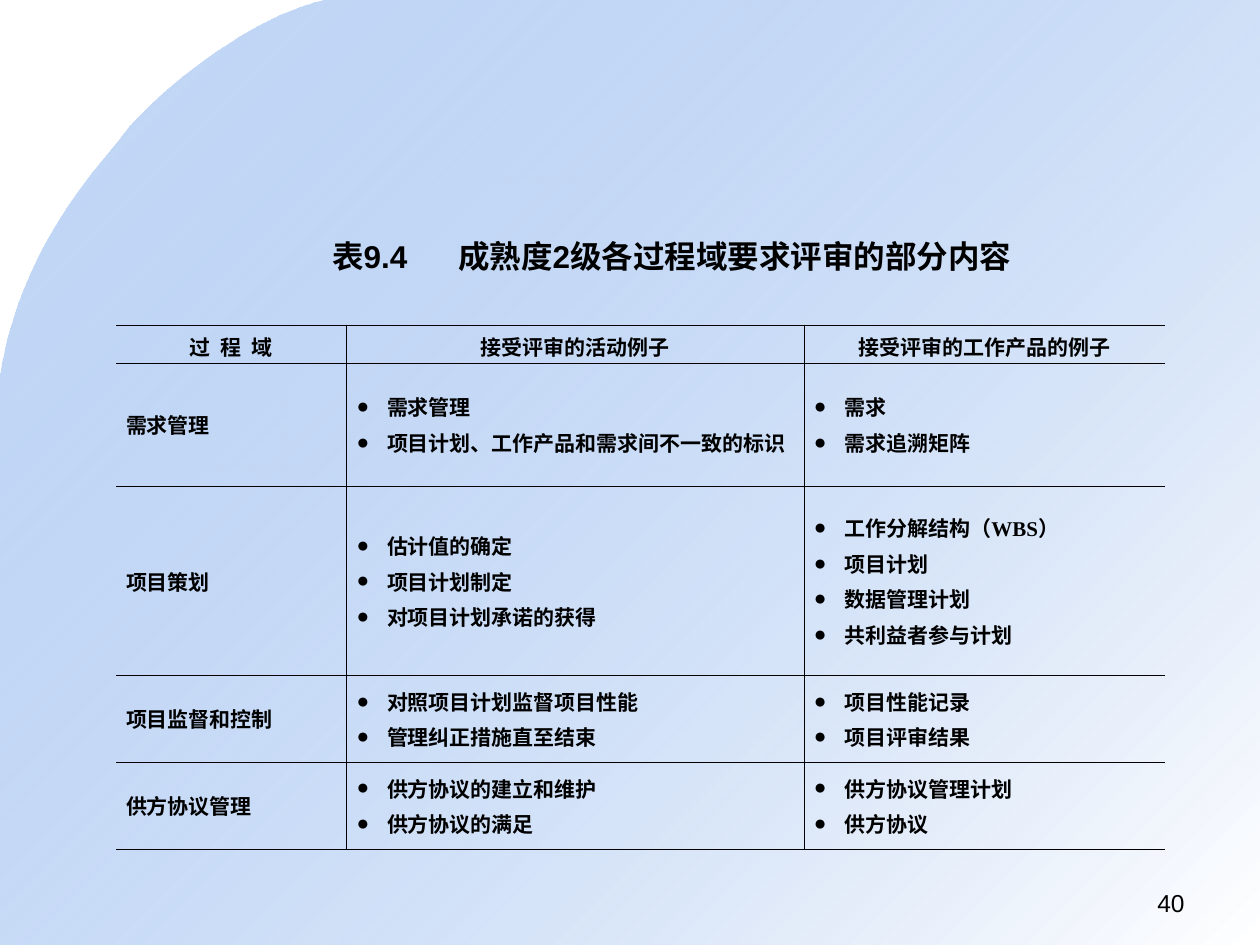
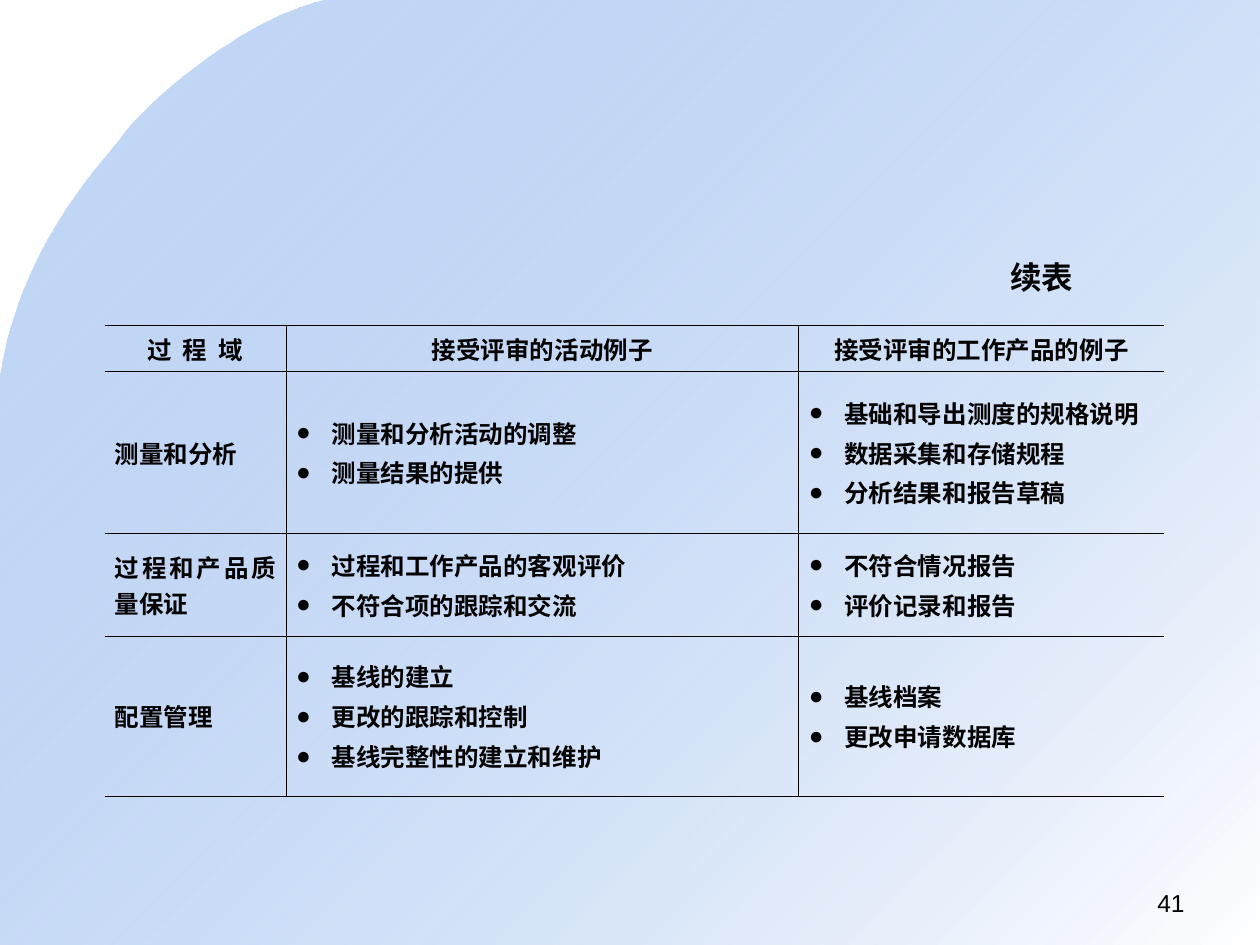
from lxml.etree import SubElement
from pptx import Presentation
from pptx.dml.color import RGBColor
from pptx.enum.text import MSO_ANCHOR as Anchor, PP_ALIGN as Align
from pptx.oxml.ns import qn
from pptx.util import Inches, Pt

COLORS = {"text": "000000", "line": "000000", "sky": "699DE9", "white": "FFFFFF"}
SKY_OPACITY = 39
NO_STYLE_NO_GRID = "{2D5ABB26-0587-4C30-8999-92F81FD0307C}"
HEADINGS = ["过 程 域", "接受评审的活动例子", "接受评审的工作产品的例子"]

LEVEL_TWO_AREAS = [
    ("需求管理",
     ["需求管理", "项目计划、工作产品和需求间不一致的标识"],
     ["需求", "需求追溯矩阵"]),
    ("项目策划",
     ["估计值的确定", "项目计划制定", "对项目计划承诺的获得"],
     ["工作分解结构（WBS）", "项目计划", "数据管理计划", "共利益者参与计划"]),
    ("项目监督和控制",
     ["对照项目计划监督项目性能", "管理纠正措施直至结束"],
     ["项目性能记录", "项目评审结果"]),
    ("供方协议管理",
     ["供方协议的建立和维护", "供方协议的满足"],
     ["供方协议管理计划", "供方协议"]),
]
CONTINUED_AREAS = [
    ("测量和分析",
     ["测量和分析活动的调整", "测量结果的提供"],
     ["基础和导出测度的规格说明", "数据采集和存储规程", "分析结果和报告草稿"]),
    ("过程和产品质量保证",
     ["过程和工作产品的客观评价", "不符合项的跟踪和交流"],
     ["不符合情况报告", "评价记录和报告"]),
    ("配置管理",
     ["基线的建立", "更改的跟踪和控制", "基线完整性的建立和维护"],
     ["基线档案", "更改申请数据库"]),
]


def bezier(start, control_1, control_2, end, steps=24):
    """Points along a cubic curve, without its start."""
    points = []
    for step in range(1, steps + 1):
        t = step / steps
        weights = ((1 - t) ** 3, 3 * t * (1 - t) ** 2, 3 * t * t * (1 - t), t ** 3)
        corners = (start, control_1, control_2, end)
        points.append(tuple(sum(w * corner[axis] for w, corner in zip(weights, corners))
                            for axis in (0, 1)))
    return points


class Deck:
    def __init__(self):
        self.presentation = Presentation()
        self.presentation.slide_width = Inches(10)
        self.presentation.slide_height = Inches(7.5)
        self.layout = self.presentation.slide_layouts[6]
        self.slide = None

    def new_slide(self, number):
        self.slide = self.presentation.slides.add_slide(self.layout)
        if len(self.presentation.slides) == 1:
            self.curved_background()
        self.text(str(number), 7.17, 7, 2.33, 0.35, size=14, align=Align.RIGHT)

    def curved_background(self):
        """Draw the sky panel once and move it to the shared layout."""
        top, middle, left = (2.58, 0), (0.98, 1.07), (0, 3.01)
        outline = (bezier(top, (1.9, 0.16), (1.16, 0.83), middle)
                   + bezier(middle, (0.8, 1.32), (0.16, 1.94), left)
                   + [(0, 7.5), (10, 7.5), (10, 0)])
        builder = self.slide.shapes.build_freeform(Inches(top[0]), Inches(top[1]))
        builder.add_line_segments([(Inches(x), Inches(y)) for x, y in outline])
        shape = builder.convert_to_shape()
        shape.shadow.inherit = False
        shape.line.fill.background()
        shape.fill.gradient()
        shape.fill.gradient_angle = 315
        for stop, name in zip(shape.fill.gradient_stops, ("sky", "white")):
            stop.color.rgb = RGBColor.from_string(COLORS[name])
        sky = shape.element.find(".//" + qn("a:srgbClr"))
        SubElement(sky, qn("a:alpha"), val=str(SKY_OPACITY * 1000))
        self.layout.shapes.element.append(shape.element)

    def style(self, paragraph, size, bold, align, font="Arial"):
        paragraph.alignment = align
        paragraph.font.name = font
        paragraph.font.size = Pt(size)
        paragraph.font.bold = bold
        paragraph.font.color.rgb = RGBColor.from_string(COLORS["text"])

    def text(self, text, left, top, width, height, size=18, bold=False,
             align=Align.LEFT, wrap=True, tab=None):
        box = self.slide.shapes.add_textbox(
            Inches(left), Inches(top), Inches(width), Inches(height))
        box.text_frame.word_wrap = wrap
        paragraph = box.text_frame.paragraphs[0]
        paragraph.text = text
        if tab:
            stops = SubElement(paragraph._p.get_or_add_pPr(), qn("a:tabLst"))
            SubElement(stops, qn("a:tab"), pos=str(Inches(tab)), algn="l")
        self.style(paragraph, size, bold, align)

    def cell(self, cell, lines, size, gap, align, bullets):
        cell.vertical_anchor = Anchor.MIDDLE
        cell.margin_left = cell.margin_right = Inches(0.08)
        cell.margin_top = cell.margin_bottom = Inches(0.05)
        frame = cell.text_frame
        for index, line in enumerate(lines):
            paragraph = frame.add_paragraph() if index else frame.paragraphs[0]
            paragraph.text = line
            if index:
                paragraph.space_before = Pt(gap)
            if bullets:
                indent = Pt(size * 1.45)
                properties = paragraph._p.get_or_add_pPr()
                properties.set("marL", str(indent))
                properties.set("indent", str(-indent))
                SubElement(properties, qn("a:buFont"), typeface="Times New Roman")
                SubElement(properties, qn("a:buChar"), char="●")
            self.style(paragraph, size, True, align, "Times New Roman")

    def borders(self, cell, sides):
        properties = cell._tc.get_or_add_tcPr()
        for side in sides:
            line = SubElement(properties, qn("a:ln" + side), w=str(Pt(0.45)))
            fill = SubElement(line, qn("a:solidFill"))
            SubElement(fill, qn("a:srgbClr"), val=COLORS["line"])
        cell.fill.background()

    def review_table(self, areas, left, columns, rows, size, gap):
        table = self.slide.shapes.add_table(
            len(rows), len(columns), Inches(left), Inches(2.58),
            Inches(sum(columns)), Inches(sum(rows))).table
        table.first_row = table.horz_banding = False
        table._tbl.tblPr.find(qn("a:tableStyleId")).text = NO_STYLE_NO_GRID
        for column, width in zip(table.columns, columns):
            column.width = Inches(width)
        for row, height in zip(table.rows, rows):
            row.height = Inches(height)

        contents = [[[heading] for heading in HEADINGS]]
        contents += [[[area], activities, products] for area, activities, products in areas]
        for row_index, row in enumerate(contents):
            align = Align.JUSTIFY if row_index else Align.CENTER
            for column_index, lines in enumerate(row):
                cell = table.cell(row_index, column_index)
                self.cell(cell, lines, size, gap, align,
                          bullets=row_index > 0 and column_index > 0)
                self.borders(cell, ("RTB", "LRTB", "LTB")[column_index])
        spaced_heading = table.cell(0, 0).text_frame.paragraphs[0]
        spaced_heading._p.pPr.find(qn("a:defRPr")).set("spc", "150")


def main():
    deck = Deck()

    deck.new_slide(40)
    deck.review_table(LEVEL_TWO_AREAS, 0.92, [1.83, 3.63, 2.87],
                      [0.29, 0.98, 1.5, 0.69, 0.69], size=12, gap=3)
    deck.text("表9.4\t成熟度2级各过程域要求评审的部分内容", 2.08, 1.83, 6.5, 0.4,
              bold=True, align=Align.CENTER, tab=1)

    deck.new_slide(41)
    deck.review_table(CONTINUED_AREAS, 0.83, [1.44, 4.07, 2.9],
                      [0.37, 1.28, 0.82, 1.27], size=14, gap=2.4)
    deck.text("续表", 7.92, 2, 0.7, 0.4, bold=True, wrap=False)

    deck.presentation.save("out.pptx")


if __name__ == "__main__":
    main()
